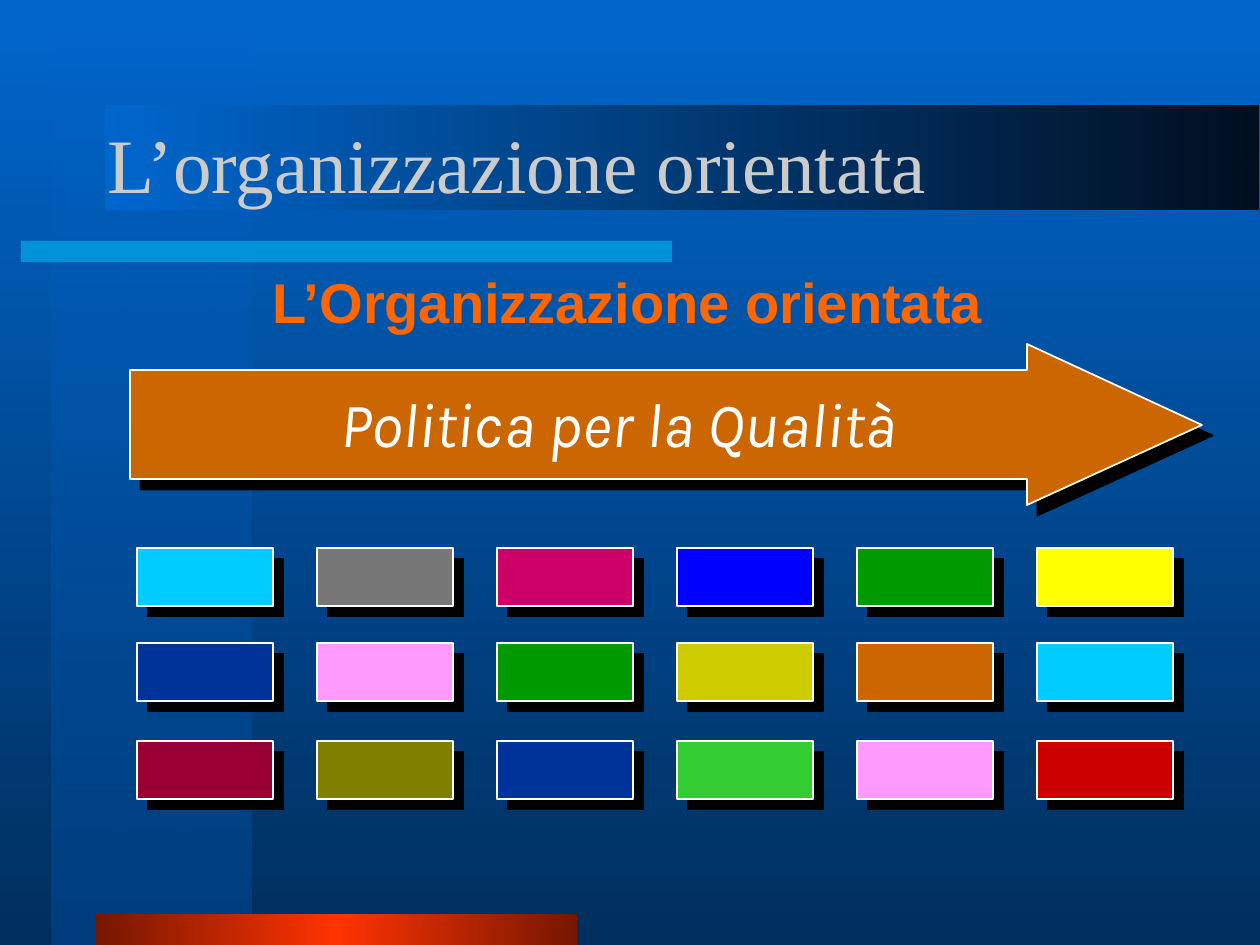
from lxml import etree
from pptx import Presentation
from pptx.dml.color import RGBColor
from pptx.enum.shapes import MSO_SHAPE
from pptx.enum.text import MSO_ANCHOR, MSO_AUTO_SIZE, PP_ALIGN
from pptx.oxml.ns import qn
from pptx.util import Pt

PX = 914400 / 126
RECT = MSO_SHAPE.RECTANGLE
LEFT, CENTER = PP_ALIGN.LEFT, PP_ALIGN.CENTER
TOP, MIDDLE = MSO_ANCHOR.TOP, MSO_ANCHOR.MIDDLE
FIT = MSO_AUTO_SIZE.SHAPE_TO_FIT_TEXT
NONE = MSO_AUTO_SIZE.NONE

ROWS = {
    548: ["00CCFF", "777777", "CC0066", "0000FF", "009900", "FFFF00"],
    643: ["003399", "FF99FF", "009900", "CCCC00", "CC6600", "00CCFF"],
    741: ["990033", "808000", "003399", "33CC33", "FF99FF", "CC0000"],
}
ARROW = [(1027, 344), (1027, 370), (130, 370), (130, 479),
         (1027, 479), (1027, 505), (1202, 425)]


def px(*nums):
    return [round(n * PX) for n in nums]


def rgb(code):
    return RGBColor.from_string(code)


def add_alpha(color, pct):
    etree.SubElement(color, qn("a:alpha"), val=str(pct * 1000))


def blend(fill, node, angle, stops):
    """Give fill, which lies inside node, a linear gradient; angle is clockwise."""
    fill.gradient()
    fill.gradient_angle = -angle % 360
    items = node.xpath(".//a:gsLst")[0]
    for old in list(items):
        items.remove(old)
    for pos, code, pct in stops:
        stop = etree.SubElement(items, qn("a:gs"), pos=str(pos * 1000))
        color = etree.SubElement(stop, qn("a:srgbClr"), val=code)
        if pct < 100:
            add_alpha(color, pct)


def add_rect(shapes, *box):
    shape = shapes.add_shape(RECT, *px(*box))
    shape.shadow.inherit = False
    shape.line.fill.background()
    return shape


def add_band(slide, box, angle, stops):
    band = add_rect(slide.shapes, *box)
    blend(band.fill, band.element, angle, stops)


def style(shape, code):
    """Solid fill, white outline and a hard black shadow."""
    shape.fill.solid()
    shape.fill.fore_color.rgb = rgb(code)
    shape.line.color.rgb = rgb("FFFFFF")
    shape.line.width = Pt(1)
    shape.shadow.inherit = False
    effects = shape.element.spPr.find(qn("a:effectLst"))
    shade = etree.SubElement(effects, qn("a:outerShdw"), blurRad="0",
                             dist=str(Pt(8.5)), dir="2700000",
                             algn="ctr", rotWithShape="0")
    etree.SubElement(shade, qn("a:srgbClr"), val="000000")


def write(shape, text, font, size, code, align=CENTER, anchor=TOP,
          before=0, bold=False, italic=False, fit=NONE):
    frame = shape.text_frame
    frame.word_wrap = True
    frame.auto_size = fit
    frame.vertical_anchor = anchor
    para = frame.paragraphs[0]
    para.alignment = align
    para.space_before = Pt(before)
    run = para.add_run()
    run.text = text
    run.font.name = font
    run.font.size = Pt(size)
    run.font.bold = bold
    run.font.italic = italic
    run.font.color.rgb = rgb(code)


def add_decor(slide):
    blend(slide.background.fill, slide.element, 90,
          [(0, "0066CC", 100), (100, "002F5E", 100)])
    add_band(slide, (52, 0, 200, 945), 90,
             [(0, "0066CC", 50), (100, "003E7D", 100)])
    bar = add_rect(slide.shapes, 21, 241, 651, 21)
    bar.fill.solid()
    bar.fill.fore_color.rgb = rgb("00CCFF")
    add_alpha(bar.element.spPr.find(qn("a:solidFill"))[0], 50)
    add_band(slide, (95, 914, 482, 31), 180,
             [(0, "751700", 100), (50, "FF3300", 100), (100, "751700", 100)])
    add_band(slide, (105, 105, 1154, 105), 180,
             [(0, "000F1F", 100), (100, "0066CC", 100)])


def add_title(slide):
    title = slide.shapes.title
    title.left, title.top, title.width, title.height = px(95, 84, 1071, 158)
    write(title, "L’organizzazione orientata", "Times New Roman", 44,
          "CBCBCB", LEFT, MIDDLE)
    title.element.getparent().append(title.element)


def add_grid(slide):
    for top, codes in ROWS.items():
        for col, code in enumerate(codes):
            style(add_rect(slide.shapes, 137 + 180 * col, top, 136, 58), code)


def add_arrow(slide):
    shapes = slide.shapes.add_group_shape().shapes
    pen = shapes.build_freeform(*ARROW[0], scale=PX)
    pen.add_line_segments(ARROW[1:], close=True)
    style(pen.convert_to_shape(), "CC6600")
    label = shapes.add_textbox(*px(197, 378, 843, 88))
    write(label, "Politica per la Qualità", "Karla", 36, "FFFFFF",
          before=22.5, italic=True, fit=FIT)


def main():
    deck = Presentation()
    deck.slide_width, deck.slide_height = px(1260, 945)
    slide = deck.slides.add_slide(deck.slide_layouts[5])
    add_decor(slide)
    add_title(slide)
    head = slide.shapes.add_textbox(*px(93, 261, 1070, 130))
    write(head, "L’Organizzazione orientata", "Arial", 32, "FF6600",
          before=8, bold=True)
    add_grid(slide)
    add_arrow(slide)
    deck.save("out.pptx")


if __name__ == "__main__":
    main()
